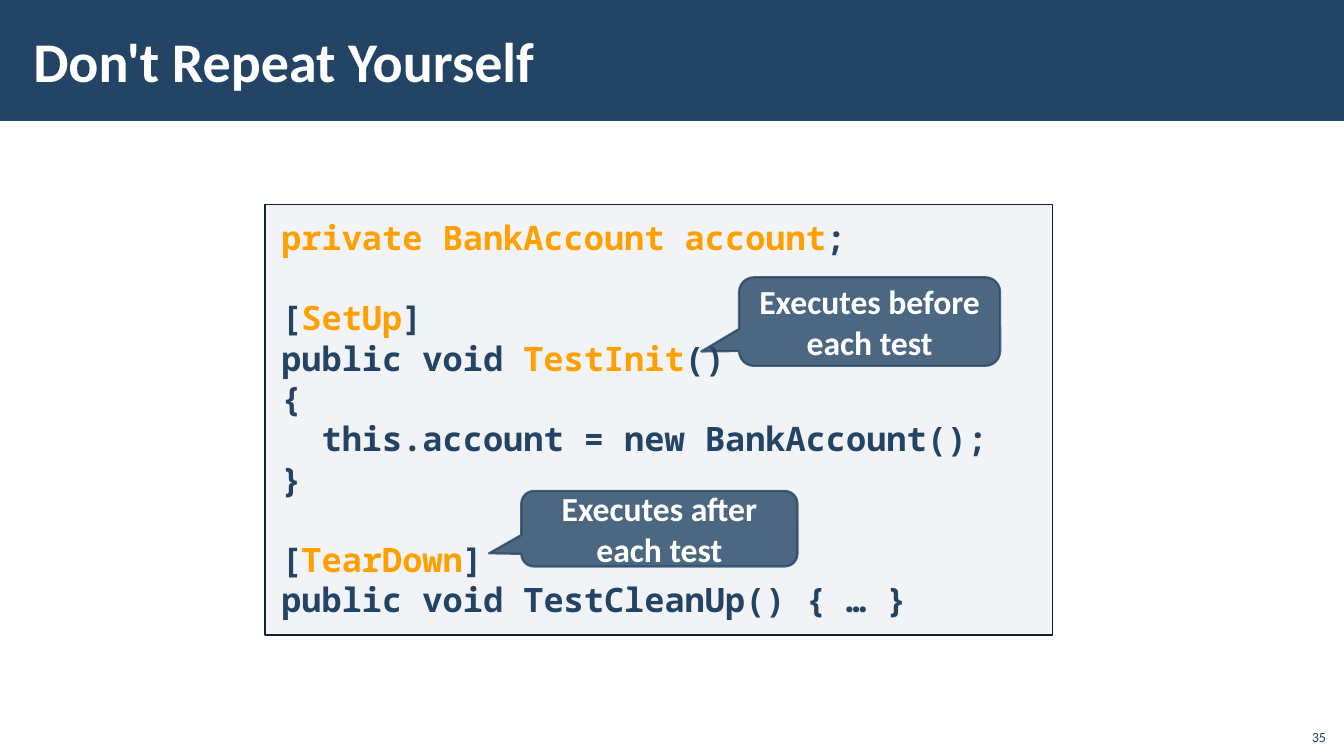
from dataclasses import dataclass

import lxml.etree
import pptx
import pptx.dml.color
import pptx.enum.shapes
import pptx.enum.text
import pptx.oxml.ns
import pptx.util

Inches = pptx.util.Inches
Pt = pptx.util.Pt
RGB = pptx.dml.color.RGBColor.from_string
Shape = pptx.enum.shapes.MSO_SHAPE
Align = pptx.enum.text.PP_ALIGN
Anchor = pptx.enum.text.MSO_ANCHOR
qn = pptx.oxml.ns.qn


@dataclass(frozen=True)
class Theme:
    navy: str = "234465"
    orange: str = "FFA000"
    white: str = "FFFFFF"
    panel: str = "ADB4C3"
    border: str = "112233"
    sans: str = "Calibri"
    mono: str = "Noto Sans Mono"
    title_size: float = 40
    body_size: float = 24
    number_size: float = 10
    code_line: float = 28.7


THEME = Theme()

CODE = [
    [("private BankAccount account", True), (";", False)],
    [],
    [("[", False), ("SetUp", True), ("]", False)],
    [("public void ", False), ("TestInit", True), ("()", False)],
    [("{", False)],
    [("  this.account = new BankAccount();", False)],
    [("}", False)],
    [],
    [("[", False), ("TearDown", True), ("]", False)],
    [("public void TestCleanUp() { … }", False)],
]


def write(shape, lines, size=THEME.body_size, font=THEME.sans, color=THEME.white,
          accent=THEME.orange, bold=True, align=Align.LEFT, anchor=Anchor.TOP,
          inset=(0.1, 0.05), blank_gap=0):
    frame = shape.text_frame
    frame.word_wrap = True
    frame.auto_size = pptx.enum.text.MSO_AUTO_SIZE.NONE
    frame.vertical_anchor = anchor
    frame.margin_left = frame.margin_right = Inches(inset[0])
    frame.margin_top = frame.margin_bottom = Inches(inset[1])
    paragraph, gap = None, 0
    for line in lines:
        if not line:
            gap += blank_gap
            continue
        paragraph = frame.add_paragraph() if paragraph else frame.paragraphs[0]
        paragraph.alignment = align
        if gap:
            paragraph.space_before = Pt(gap)
            gap = 0
        for words, highlighted in line:
            run = paragraph.add_run()
            run.text = words
            run.font.size = Pt(size)
            run.font.name = font
            run.font.bold = bold
            run.font.color.rgb = RGB(accent if highlighted else color)


def set_opacity(color_format_parent, percent):
    for color in color_format_parent.iter(qn("a:srgbClr")):
        alpha = lxml.etree.SubElement(color, qn("a:alpha"))
        alpha.set("val", str(percent * 1000))


def add_panel(slide, kind, box, fill, opacity=100, line=None, line_width=1, line_opacity=100):
    panel = slide.shapes.add_shape(kind, *map(Inches, box))
    panel.shadow.inherit = False
    panel.fill.solid()
    panel.fill.fore_color.rgb = RGB(fill)
    if opacity < 100:
        set_opacity(panel.element.spPr.find(qn("a:solidFill")), opacity)
    if line:
        panel.line.color.rgb = RGB(line)
        panel.line.width = Pt(line_width)
        if line_opacity < 100:
            set_opacity(panel.element.spPr.find(qn("a:ln")), line_opacity)
    else:
        panel.line.fill.background()
    return panel


def add_header(slide, box, heading):
    left, top, width, height = box
    band = add_panel(slide, Shape.RECTANGLE, box, THEME.navy)
    title = slide.shapes.title
    title.element.addprevious(band.element)
    title.left, title.top = Inches(left + 0.21), Inches(top + 0.11)
    title.width, title.height = Inches(10.63), Inches(height - 0.23)
    write(title, [[(heading, False)]], size=THEME.title_size,
          anchor=Anchor.MIDDLE, inset=(0.12, 0.04))


def add_callout(slide, box, message, tail):
    callout = add_panel(slide, Shape.ROUNDED_RECTANGULAR_CALLOUT, box, THEME.navy, opacity=80,
                        line=THEME.navy, line_width=1.5, line_opacity=80)
    callout.adjustments[0], callout.adjustments[1] = tail
    callout.adjustments[2] = 0.167
    write(callout, [[(message, False)]], align=Align.CENTER, anchor=Anchor.MIDDLE)


def add_code(slide, box):
    left, top, width, height = box
    listing = add_panel(slide, Shape.RECTANGLE, box, THEME.panel, opacity=15, line=THEME.border)
    write(listing, CODE, font=THEME.mono, color=THEME.navy, inset=(0.16, 0.12),
          blank_gap=THEME.code_line)
    add_callout(slide, (left + 4.7, top + 0.72, 2.59, 0.88),
                "Executes before each test", (-0.645, 0.338))
    add_callout(slide, (left + 2.54, top + 2.84, 2.74, 0.75),
                "Executes after each test", (-0.617, 0.326))


def add_page_number(slide, box, number):
    page = slide.shapes.add_textbox(*map(Inches, box))
    write(page, [[(number, False)]], size=THEME.number_size, color=THEME.navy, bold=False,
          align=Align.RIGHT, anchor=Anchor.BOTTOM)


def main():
    deck = pptx.Presentation()
    deck.slide_width, deck.slide_height = Inches(13.33), Inches(7.5)
    slide = deck.slides.add_slide(deck.slide_layouts.get_by_name("Title Only"))
    add_header(slide, (0, 0, 13.33, 1.2), "Don't Repeat Yourself")
    add_code(slide, (2.63, 2.03, 7.81, 4.27))
    add_page_number(slide, (12.85, 7.12, 0.4, 0.32), "35")
    deck.save("out.pptx")


if __name__ == "__main__":
    main()
